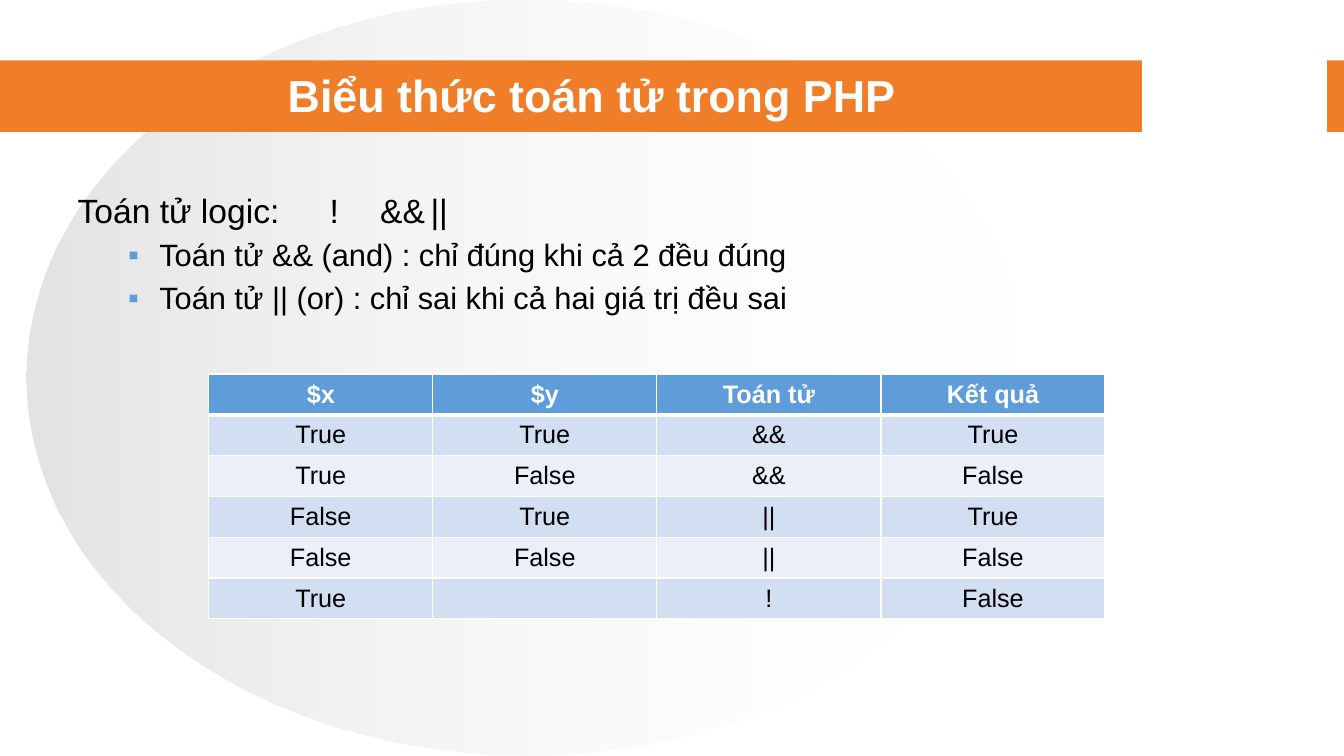
from lxml.etree import SubElement
from pptx import Presentation
from pptx.dml.color import RGBColor
from pptx.enum.shapes import MSO_SHAPE
from pptx.enum.text import MSO_ANCHOR, MSO_AUTO_SIZE, PP_ALIGN
from pptx.oxml.ns import qn
from pptx.util import Inches, Pt

COLORS = {
    "white": "FFFFFF", "black": "000000", "orange": "F07D27", "gray": "C0C0C0",
    "blue": "5E9CDA", "band_dark": "D2DEF1", "band_light": "EAEFF8",
}
FONT = "Arial"


def color(name):
    return RGBColor.from_string(COLORS[name])


def add_xml(parent, tag, **attributes):
    return SubElement(parent, qn(tag), attributes)


class SlideBuilder:
    """Holds the style and the current slide."""

    def __init__(self, deck):
        self.page = deck.slides.add_slide(deck.slide_layouts[1])
        self.shapes = self.page.shapes

    def shape(self, kind, left, top, width, height, fill, line=None):
        shape = self.shapes.add_shape(
            kind, Inches(left), Inches(top), Inches(width), Inches(height))
        shape.shadow.inherit = False
        shape.fill.solid()
        shape.fill.fore_color.rgb = color(fill)
        if line:
            shape.line.color.rgb = color(line)
            shape.line.width = Pt(0.75)
        else:
            shape.line.fill.background()
        return shape

    def fade(self, shape, stops):
        """Left-to-right gradient from (colour, opacity percent) stops."""
        shape.fill.gradient()
        shape.fill.gradient_angle = 0
        for stop, (name, _) in zip(shape.fill.gradient_stops, stops):
            stop.color.rgb = color(name)
        marks = shape._element.xpath(".//a:gs/a:srgbClr")
        for mark, (_, opacity) in zip(marks, stops):
            add_xml(mark, "a:alpha", val=str(opacity * 1000))

    def placeholder(self, index, left, top, width, height, anchor):
        """Move a placeholder into position, in front of the backdrop."""
        box = self.page.placeholders[index]
        box.left, box.top = Inches(left), Inches(top)
        box.width, box.height = Inches(width), Inches(height)
        self.shapes._spTree.append(box._element)
        frame = box.text_frame
        frame.word_wrap = True
        frame.auto_size = MSO_AUTO_SIZE.NONE
        frame.vertical_anchor = anchor
        return frame

    def run(self, para, text, size, name, bold=False):
        span = para.add_run()
        span.text = text
        span.font.name = FONT
        span.font.size = Pt(size)
        span.font.bold = bold
        span.font.color.rgb = color(name)

    def title(self, text, *place):
        para = self.placeholder(0, *place, MSO_ANCHOR.MIDDLE).paragraphs[0]
        para.alignment = PP_ALIGN.CENTER
        self.run(para, text, 32, "white", bold=True)

    def body(self, heading, tabs, bullets, *place):
        frame = self.placeholder(1, *place, MSO_ANCHOR.TOP)
        para = frame.paragraphs[0]
        props = self.paragraph(para, 24, 0, 0)
        add_xml(props, "a:buNone")
        stops = add_xml(props, "a:tabLst")
        for position in tabs:
            add_xml(stops, "a:tab", pos=str(Inches(position)), algn="l")
        self.run(para, heading, 24, "black")
        for text in bullets:
            para = frame.add_paragraph()
            para.level = 1
            props = self.paragraph(para, 22, 0.81, -0.31)
            add_xml(add_xml(props, "a:buClr"), "a:srgbClr", val=COLORS["blue"])
            add_xml(props, "a:buFont", typeface=FONT)
            add_xml(props, "a:buChar", char="▪")
            self.run(para, text, 22, "black")

    def paragraph(self, para, size, margin, indent):
        para.alignment = PP_ALIGN.LEFT
        para.space_before = Pt(size * 0.2)
        props = para._p.get_or_add_pPr()
        props.set("marL", str(Inches(margin)))
        props.set("indent", str(Inches(indent)))
        return props

    def table(self, rows, left, top, width, height):
        table = self.shapes.add_table(
            len(rows), len(rows[0]), Inches(left), Inches(top),
            Inches(width), Inches(height)).table
        for column in table.columns:
            column.width = Inches(width / len(rows[0]))
        for row_index, texts in enumerate(rows):
            table.rows[row_index].height = Inches(height / len(rows))
            for column_index, text in enumerate(texts):
                self.cell(table.cell(row_index, column_index), text, row_index)

    def cell(self, cell, text, row_index):
        header = row_index == 0
        band = "band_dark" if row_index % 2 else "band_light"
        self.borders(cell, top=3 if row_index == 1 else 1, bottom=3 if header else 1)
        cell.fill.solid()
        cell.fill.fore_color.rgb = color("blue" if header else band)
        cell.vertical_anchor = MSO_ANCHOR.MIDDLE
        para = cell.text_frame.paragraphs[0]
        para.alignment = PP_ALIGN.CENTER
        if text:
            self.run(para, text, 18, "white" if header else "black", bold=header)

    def borders(self, cell, top, bottom):
        props = cell._tc.get_or_add_tcPr()
        for side, width in (("L", 1), ("R", 1), ("T", top), ("B", bottom)):
            line = add_xml(props, f"a:ln{side}", w=str(Pt(width)))
            add_xml(add_xml(line, "a:solidFill"), "a:srgbClr", val=COLORS["white"])


deck = Presentation()
deck.slide_width, deck.slide_height = Inches(13.33), Inches(7.5)
slide = SlideBuilder(deck)

# Backdrop: faded ellipse and title band with a gap
ellipse = slide.shape(MSO_SHAPE.OVAL, 0.26, 0, 9.92, 7.5, "gray")
slide.fade(ellipse, [("gray", 44), ("white", 0)])
slide.shape(MSO_SHAPE.RECTANGLE, 0, 0.6, 13.33, 0.71, "orange")
slide.shape(MSO_SHAPE.RECTANGLE, 11.33, 0.6, 1.83, 0.71, "white", line="white")

# Title and operator list
slide.title("Biểu thức toán tử trong PHP", 0.67, 0.67, 10.4, 0.53)
slide.body(
    "Toán tử logic:\t!\t&&\t||", [2.25, 2.73, 3.36],
    ["Toán tử && (and) : chỉ đúng khi cả 2 đều đúng",
     "Toán tử || (or) : chỉ sai khi cả hai giá trị đều sai"],
    0.67, 1.83, 12.06, 5.08)

# Truth table
slide.table([
    ("$x", "$y", "Toán tử", "Kết quả"),
    ("True", "True", "&&", "True"),
    ("True", "False", "&&", "False"),
    ("False", "True", "||", "True"),
    ("False", "False", "||", "False"),
    ("True", "", "!", "False"),
], 2.07, 3.71, 8.89, 2.43)

deck.save("out.pptx")
